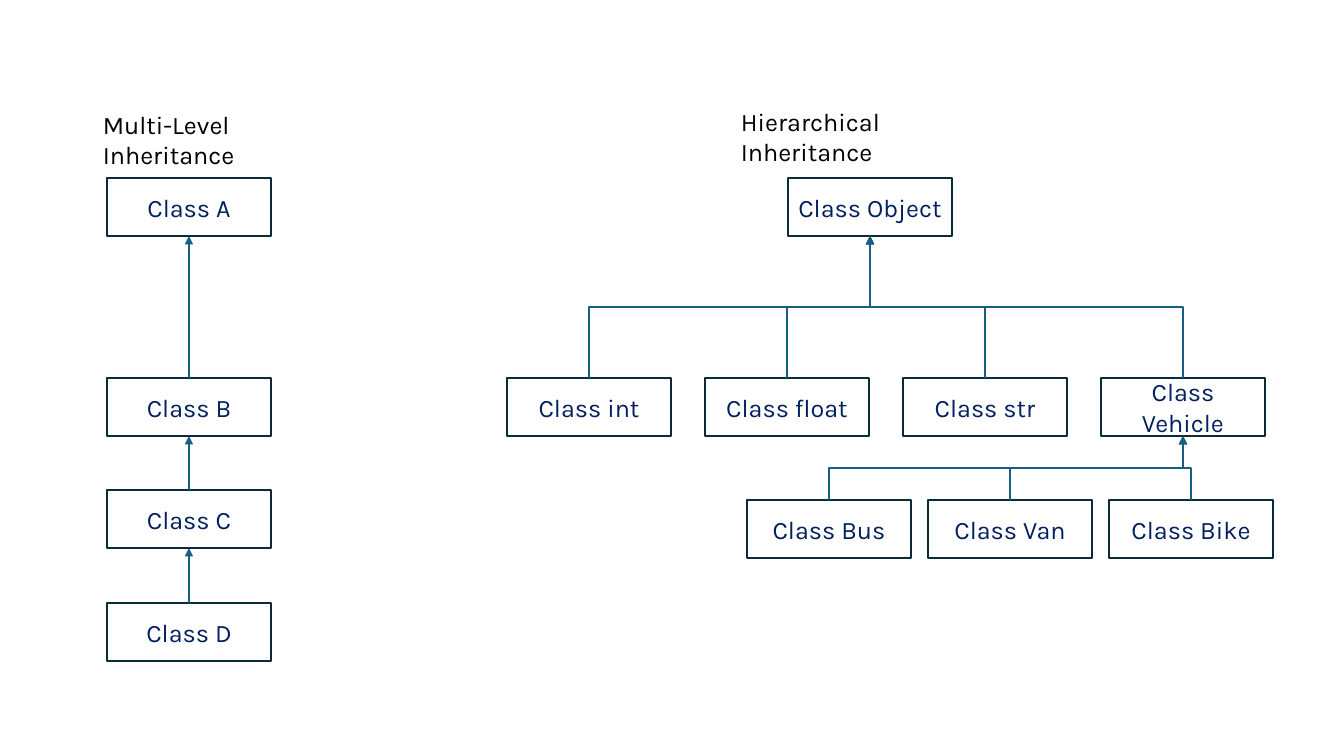
"""Build a slide of class trees for multi-level and hierarchical inheritance."""
from lxml.etree import SubElement
from pptx import Presentation
from pptx.dml.color import RGBColor
from pptx.enum.shapes import MSO_CONNECTOR as CONNECTOR, MSO_SHAPE as SHAPE
from pptx.enum.text import MSO_ANCHOR as ANCHOR, PP_ALIGN as ALIGN
from pptx.oxml.ns import qn
from pptx.util import Pt

PX = 12192000 / 1344
BOX_W, BOX_H = 164, 58
LEVEL_X = 107
OBJECT_X, OBJECT_Y = 788, 178
TYPES_X, TYPES_Y, TYPES_STEP = 507, 378, 198
VEHICLES_X, VEHICLES_Y, VEHICLES_STEP = 747, 500, 181


def emu(*lengths):
    return [round(length * PX) for length in lengths]


def style_text(frame, text, colour):
    frame.text = text
    frame.word_wrap = True
    font = frame.paragraphs[0].runs[0].font
    font.name, font.size = "Karla", Pt(18)
    font.color.rgb = RGBColor.from_string(colour)


deck = Presentation()
deck.slide_width, deck.slide_height = emu(1344, 756)
slide = deck.slides.add_slide(deck.slide_layouts[6])

places = {"Class Object": (OBJECT_X, OBJECT_Y)}
for name, y in zip("ABCD", (178, 378, 490, 603)):
    places[f"Class {name}"] = (LEVEL_X, y)
for i, name in enumerate(("int", "float", "str", "Vehicle")):
    places[f"Class {name}"] = (TYPES_X + i * TYPES_STEP, TYPES_Y)
for i, name in enumerate(("Bus", "Van", "Bike")):
    places[f"Class {name}"] = (VEHICLES_X + i * VEHICLES_STEP, VEHICLES_Y)

for label, (x, y) in places.items():
    box = slide.shapes.add_shape(SHAPE.RECTANGLE, *emu(x, y, BOX_W, BOX_H))
    box.shadow.inherit = False
    box.fill.solid()
    box.fill.fore_color.rgb = RGBColor.from_string("FFFFFF")
    box.line.color.rgb = RGBColor.from_string("092A39")
    box.line.width = Pt(1.5)
    style_text(box.text_frame, label, "002060")
    box.text_frame.vertical_anchor = ANCHOR.MIDDLE
    box.text_frame.paragraphs[0].alignment = ALIGN.CENTER

parents = {
    "A": ("B",), "B": ("C",), "C": ("D",),
    "Object": ("int", "float", "str", "Vehicle"),
    "Vehicle": ("Bus", "Van", "Bike"),
}
for parent, children in parents.items():
    parent_x, parent_y = places[f"Class {parent}"]
    for child in children:
        child_x, child_y = places[f"Class {child}"]
        top = parent_y + BOX_H
        if child_x == parent_x:
            middle = child_x + BOX_W / 2
            kind, ends = CONNECTOR.STRAIGHT, (middle, child_y, middle, top)
        else:
            centre_x = (child_x + parent_x + BOX_W) / 2
            centre_y = (child_y + top) / 2
            side = 1 if child_x > parent_x else -1
            rise = side * (child_y - top) / 2
            reach = abs(child_x - parent_x) / 2
            kind = CONNECTOR.ELBOW
            ends = (centre_x - rise, centre_y + reach, centre_x + rise, centre_y - reach)
        arrow = slide.shapes.add_connector(kind, *emu(*ends))
        arrow.line.color.rgb = RGBColor.from_string("156082")
        arrow.line.width = Pt(1.5)
        properties = arrow._element.spPr
        if kind == CONNECTOR.ELBOW:
            properties.find(qn("a:xfrm")).set("rot", str((180 + 90 * side) * 60000))
        SubElement(properties.find(qn("a:ln")), qn("a:tailEnd"), type="triangle")
        SubElement(properties, qn("a:effectLst"))

for heading, bounds in (
    ("Multi-Level Inheritance", (93, 104, 277, 40)),
    ("Hierarchical Inheritance", (731, 101, 284, 40)),
):
    caption = slide.shapes.add_textbox(*emu(*bounds))
    style_text(caption.text_frame, heading, "000000")

deck.save("out.pptx")
